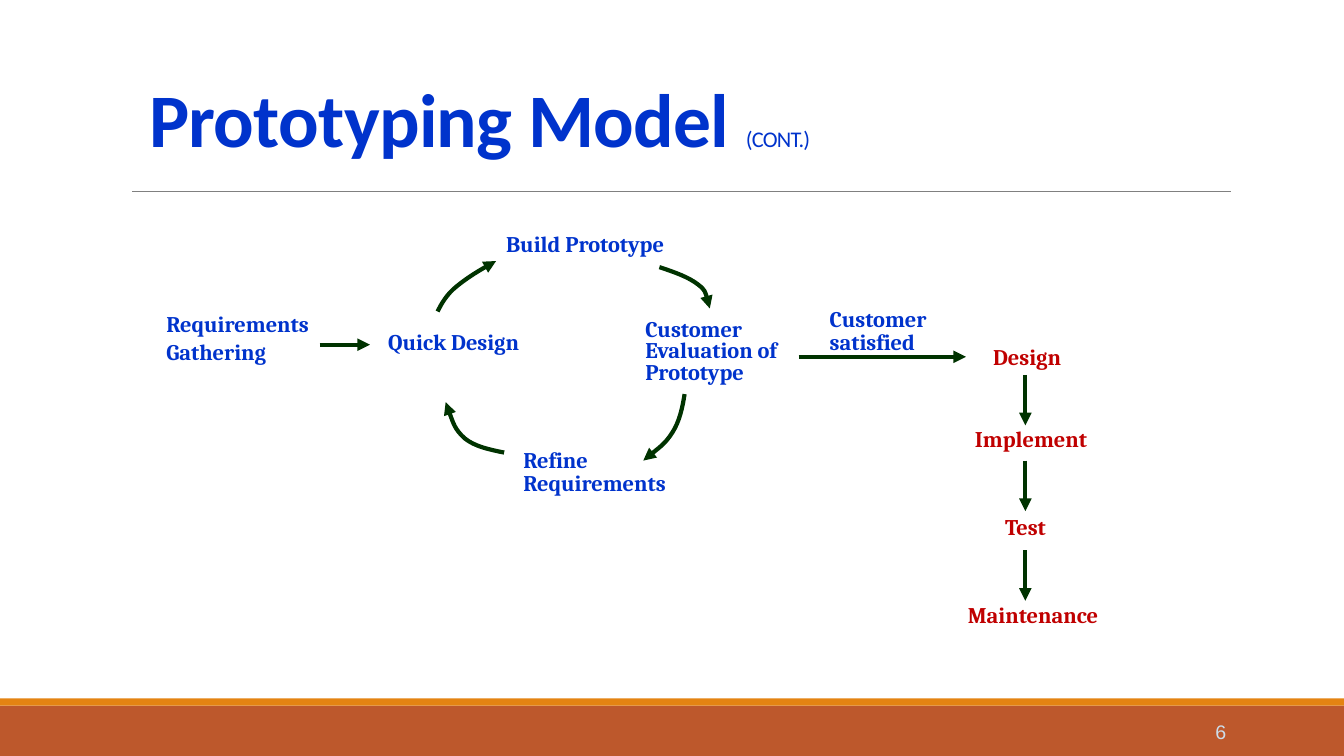
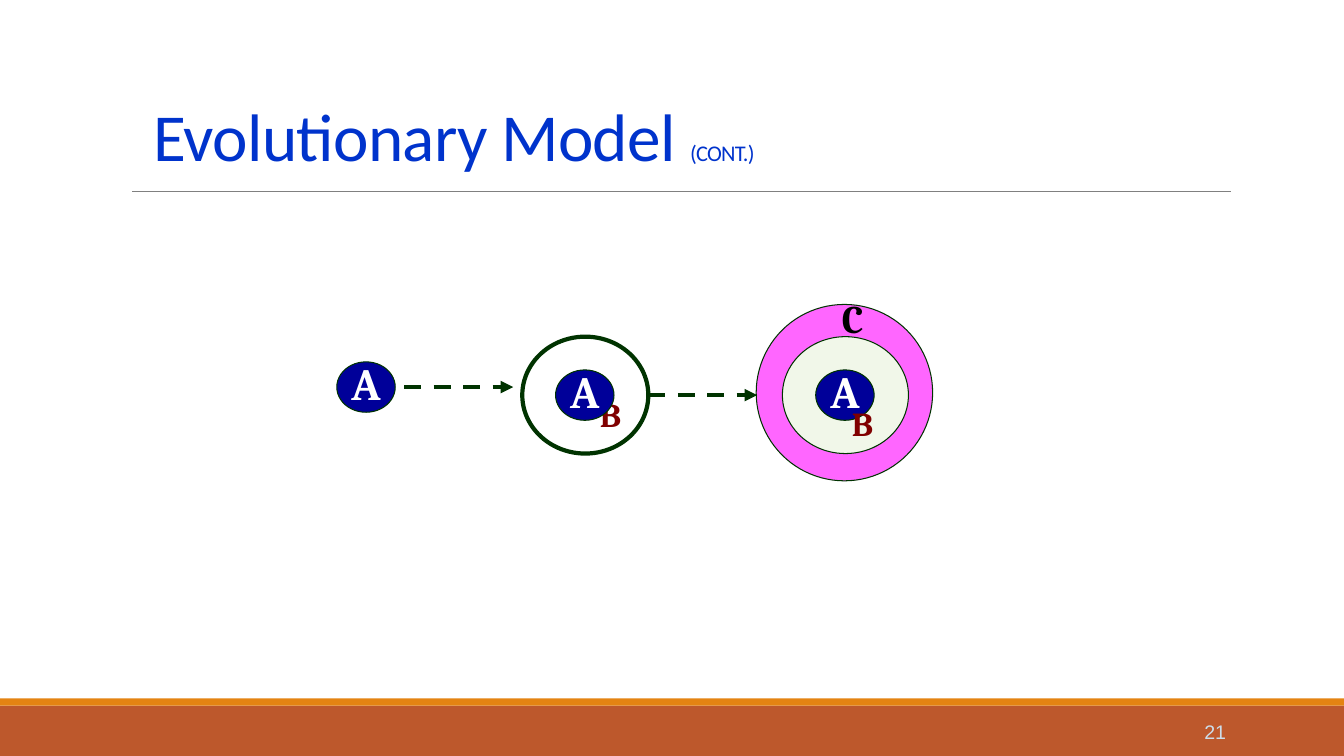
from dataclasses import dataclass

import pptx
import pptx.dml.color
import pptx.enum.dml
import pptx.enum.shapes
import pptx.enum.text
import pptx.oxml
import pptx.oxml.ns
import pptx.shapes.autoshape
import pptx.slide
import pptx.util
from pptx.util import Inches

qn = pptx.oxml.ns.qn
Slide = pptx.slide.Slide
Shape = pptx.shapes.autoshape.Shape
Align = pptx.enum.text.PP_ALIGN
Anchor = pptx.enum.text.MSO_ANCHOR
Preset = pptx.enum.shapes.MSO_SHAPE
Point = tuple[float, float]


@dataclass(frozen=True)
class Theme:
    blue: str = "0033CC"
    red: str = "C00000"
    maroon: str = "800000"
    green: str = "003300"
    navy: str = "000099"
    pink: str = "FF66FF"
    mint: str = "F1F7E9"
    white: str = "FFFFFF"
    black: str = "000000"
    band: str = "BD582C"
    stripe: str = "E48312"
    rule: str = "808080"
    number: str = "CCDDEA"
    heading_font: str = "Calibri"
    body_font: str = "Cambria"
    number_font: str = "Arial"
    label_size: float = 16
    number_size: float = 14
    core_size: float = 32
    layer_size: float = 24
    outer_size: float = 28
    thick: float = 3
    thin: float = 0.75
    hairline: float = 0.5


THEME = Theme()


@dataclass(frozen=True)
class Style:
    size: float
    color: str
    font: str = THEME.body_font
    bold: bool = True
    tracking: float = 0


@dataclass(frozen=True)
class Box:
    left: float
    top: float
    width: float
    height: float

    def lengths(self) -> list[pptx.util.Length]:
        return [Inches(n) for n in (self.left, self.top, self.width, self.height)]


@dataclass(frozen=True)
class Label:
    lines: tuple[str, ...]
    box: Box
    style: Style
    before: float = 9.2
    spacing: float = 0.85


@dataclass(frozen=True)
class Arrow:
    start: Point
    end: Point
    dashed: bool = False


@dataclass(frozen=True)
class Ring:
    box: Box
    fill: str | None
    weight: float = THEME.thin
    letter: str = ""


STEP = Style(THEME.label_size, THEME.blue)
STAGE = Style(THEME.label_size, THEME.red)
CORE = Style(THEME.core_size, THEME.white)
LAYER = Style(THEME.layer_size, THEME.maroon)
OUTER = Style(THEME.outer_size, THEME.black)
NUMBER = Style(THEME.number_size, THEME.number, THEME.number_font, False)


def rgb(color: str) -> pptx.dml.color.RGBColor:
    return pptx.dml.color.RGBColor.from_string(color)


def write(shape: Shape, paragraphs: list[list[tuple[str, Style]]], before: float = 0,
          spacing: float = 1, align: Align = Align.LEFT,
          anchor: Anchor = Anchor.TOP, inset: float = 0.02) -> None:
    frame = shape.text_frame
    frame.word_wrap = True
    frame.vertical_anchor = anchor
    frame.margin_left = frame.margin_right = Inches(inset)
    for index, runs in enumerate(paragraphs):
        paragraph = frame.add_paragraph() if index else frame.paragraphs[0]
        paragraph.alignment = align
        paragraph.space_before = pptx.util.Pt(before)
        paragraph.line_spacing = spacing
        for text, style in runs:
            run = paragraph.add_run()
            run.text = text
            run.font.name = style.font
            run.font.size = pptx.util.Pt(style.size)
            run.font.bold = style.bold
            run.font.color.rgb = rgb(style.color)
            if style.tracking:
                run.font._element.set("spc", str(int(style.tracking * 100)))


def add_label(slide: Slide, label: Label) -> None:
    write(slide.shapes.add_textbox(*label.box.lengths()),
          [[(line, label.style)] for line in label.lines], label.before, label.spacing)


def add_filled(slide: Slide, preset: Preset, box: Box, fill: str | None) -> Shape:
    shape = slide.shapes.add_shape(preset, *box.lengths())
    shape.shadow.inherit = False
    if fill:
        shape.fill.solid()
        shape.fill.fore_color.rgb = rgb(fill)
    else:
        shape.fill.background()
    return shape


def add_ring(slide: Slide, ring: Ring) -> None:
    shape = add_filled(slide, Preset.OVAL, ring.box, ring.fill)
    shape.line.color.rgb = rgb(THEME.green)
    shape.line.width = pptx.util.Pt(ring.weight)
    if ring.letter:
        write(shape, [[(ring.letter, CORE)]], 7.2, 0.85, Align.CENTER, Anchor.MIDDLE)


def add_line(slide: Slide, start: Point, end: Point, color: str,
             weight: float) -> pptx.shapes.connector.Connector:
    line = slide.shapes.add_connector(
        pptx.enum.shapes.MSO_CONNECTOR.STRAIGHT, *[Inches(n) for n in start + end])
    line.line.color.rgb = rgb(color)
    line.line.width = pptx.util.Pt(weight)
    pptx.oxml.ns.qn
    line._element.spPr.append(pptx.oxml.parse_xml(
        '<a:effectLst xmlns:a="http://schemas.openxmlformats.org/drawingml/2006/main"/>'))
    return line


def add_head(line: pptx.dml.line.LineFormat) -> None:
    line._get_or_add_ln().append(pptx.oxml.parse_xml(
        '<a:tailEnd xmlns:a="http://schemas.openxmlformats.org/drawingml/2006/main"'
        ' type="triangle"/>'))


def add_arrow(slide: Slide, arrow: Arrow) -> None:
    line = add_line(slide, arrow.start, arrow.end, THEME.green, THEME.thick).line
    if arrow.dashed:
        line.dash_style = pptx.enum.dml.MSO_LINE.DASH
    add_head(line)


def add_curve(slide: Slide, points: list[Point]) -> None:
    start, *controls = [(Inches(x), Inches(y)) for x, y in points]
    builder = slide.shapes.build_freeform(*start)
    builder.add_line_segments(controls, close=False)
    curve = builder.convert_to_shape()
    outline = curve._element.find(".//" + qn("a:path"))
    segments = outline.findall(qn("a:lnTo"))
    for first in range(0, len(segments), 3):
        bezier = outline.makeelement(qn("a:cubicBezTo"))
        for segment in segments[first:first + 3]:
            bezier.append(segment[0])
            outline.remove(segment)
        outline.append(bezier)
    curve.shadow.inherit = False
    curve.fill.background()
    curve.line.color.rgb = rgb(THEME.green)
    curve.line.width = pptx.util.Pt(THEME.thick)
    add_head(curve.line)


def add_frame(deck: pptx.presentation.Presentation, title: str, title_at: Point,
              title_size: float, bold: bool, number: int) -> Slide:
    slide = deck.slides.add_slide(deck.slide_layouts[6])
    for top, height, color in ((7, 0.5, THEME.band), (6.93, 0.07, THEME.stripe)):
        add_filled(slide, Preset.RECTANGLE, Box(0, top, 13.33, height),
                   color).line.fill.background()
    add_line(slide, (1.31, 1.9), (12.21, 1.9), THEME.rule, THEME.hairline)
    heading = Style(title_size, THEME.blue, THEME.heading_font, bold, -0.5)
    suffix = Style(THEME.label_size, THEME.blue, THEME.heading_font, False, -0.5)
    write(slide.shapes.add_textbox(*Box(*title_at, 8.5, 1.25).lengths()),
          [[(title + " ", heading), ("(CONT.)", suffix)]], 10, 0.85, anchor=Anchor.MIDDLE)
    write(slide.shapes.add_textbox(*Box(10.83, 7.06, 1.43, 0.4).lengths()),
          [[(str(number), NUMBER)]], align=Align.RIGHT, anchor=Anchor.MIDDLE, inset=0.1)
    return slide


def build_prototyping(deck: pptx.presentation.Presentation) -> None:
    slide = add_frame(deck, "Prototyping Model", (1.46, 0.61), 54, True, 6)
    labels = [
        Label(("Requirements", "Gathering"), Box(1.63, 3.07, 1.53, 0.93), STEP, 3.6),
        Label(("Quick Design",), Box(3.83, 3.25, 1.5, 0.37), STEP),
        Label(("Refine Requirements",), Box(5.17, 4.42, 1.75, 0.63), STEP),
        Label(("Build Prototype",), Box(5, 2.27, 1.66, 0.63), STEP),
        Label(("Customer", "Evaluation of", "Prototype"),
              Box(6.38, 3.16, 1.75, 0.92), STEP, 3.6, 0.63),
        Label(("Customer satisfied",), Box(8.21, 3.02, 1.66, 0.63), STEP),
        Label(("Design",), Box(9.83, 3.4, 1.25, 0.37), STAGE),
        Label(("Implement",), Box(9.65, 4.21, 1.25, 0.37), STAGE),
        Label(("Test",), Box(9.95, 5.08, 1.25, 0.37), STAGE),
        Label(("Maintenance",), Box(9.58, 5.96, 1.5, 0.37), STAGE),
    ]
    arrows = [Arrow((3.17, 3.42), (3.67, 3.42)), Arrow((7.92, 3.54), (9.58, 3.54))]
    arrows += [Arrow((10.17, top), (10.17, top + 0.5)) for top in (3.72, 4.57, 5.46)]
    cycle = [
        [(4.34, 3.09), (4.38, 3.01), (4.43, 2.92), (4.53, 2.84),
         (4.63, 2.76), (4.77, 2.67), (4.92, 2.59)],
        [(6.54, 2.65), (6.69, 2.7), (6.83, 2.75), (6.92, 2.82),
         (7, 2.88), (7.02, 2.97), (7.04, 3.06)],
        [(6.79, 3.91), (6.77, 4.04), (6.74, 4.18), (6.67, 4.29),
         (6.6, 4.4), (6.49, 4.48), (6.38, 4.57)],
        [(5, 4.49), (4.85, 4.46), (4.71, 4.43), (4.61, 4.35),
         (4.51, 4.26), (4.47, 4.13), (4.42, 3.99)],
    ]
    for points in cycle:
        add_curve(slide, points)
    for arrow in arrows:
        add_arrow(slide, arrow)
    for label in labels:
        add_label(slide, label)


def build_evolutionary(deck: pptx.presentation.Presentation) -> None:
    slide = add_frame(deck, "Evolutionary Model", (1.5, 0.77), 48, False, 21)
    layers = [
        Ring(Box(7.5, 3.02, 1.75, 1.75), THEME.pink),
        Ring(Box(7.76, 3.34, 1.25, 1.16), THEME.mint),
        Ring(Box(5.18, 3.34, 1.25, 1.16), None, THEME.thick),
    ]
    cores = [Ring(Box(left, top, 0.58, 0.5), THEME.navy, letter="A")
             for left, top in ((3.34, 3.59), (5.51, 3.67), (8.09, 3.67))]
    first_b = Label(("B",), Box(5.93, 3.92, 0.41, 0.5), LAYER, 13.8)
    second_b = Label(("B",), Box(8.43, 4.01, 0.41, 0.5), LAYER, 13.8)
    outer_c = Label(("C",), Box(8.33, 2.94, 0.41, 0.57), OUTER, 16)
    for ring in layers:
        add_ring(slide, ring)
    for left, y in ((4.01, 3.84), (6.43, 3.92)):
        add_arrow(slide, Arrow((left, y), (left + 1.08, y), True))
    add_label(slide, first_b)
    add_label(slide, outer_c)
    for core in cores:
        add_ring(slide, core)
    add_label(slide, second_b)


def main() -> None:
    deck = pptx.Presentation()
    deck.slide_width = Inches(13.33)
    deck.slide_height = Inches(7.5)
    build_prototyping(deck)
    build_evolutionary(deck)
    deck.save("out.pptx")


if __name__ == "__main__":
    main()
